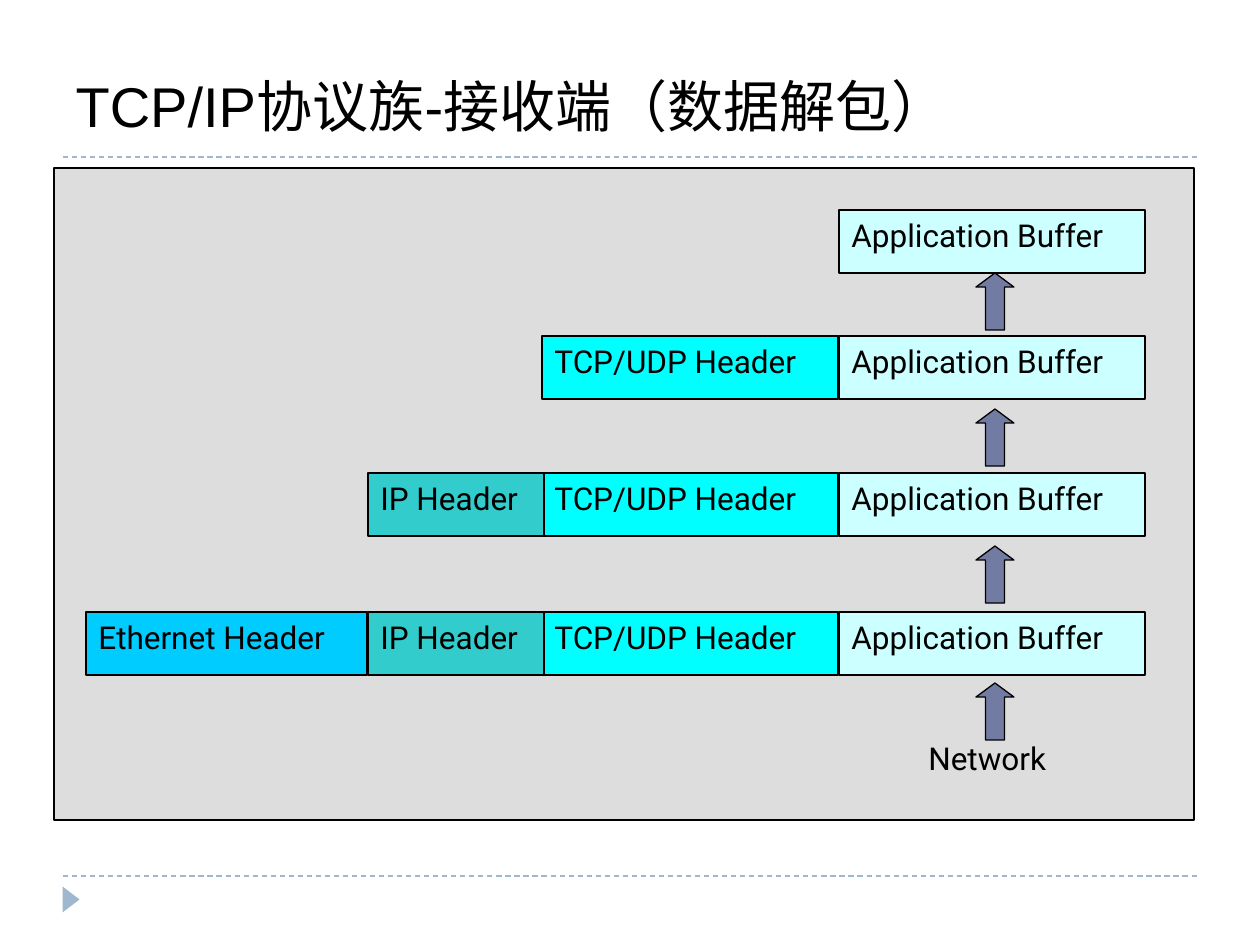
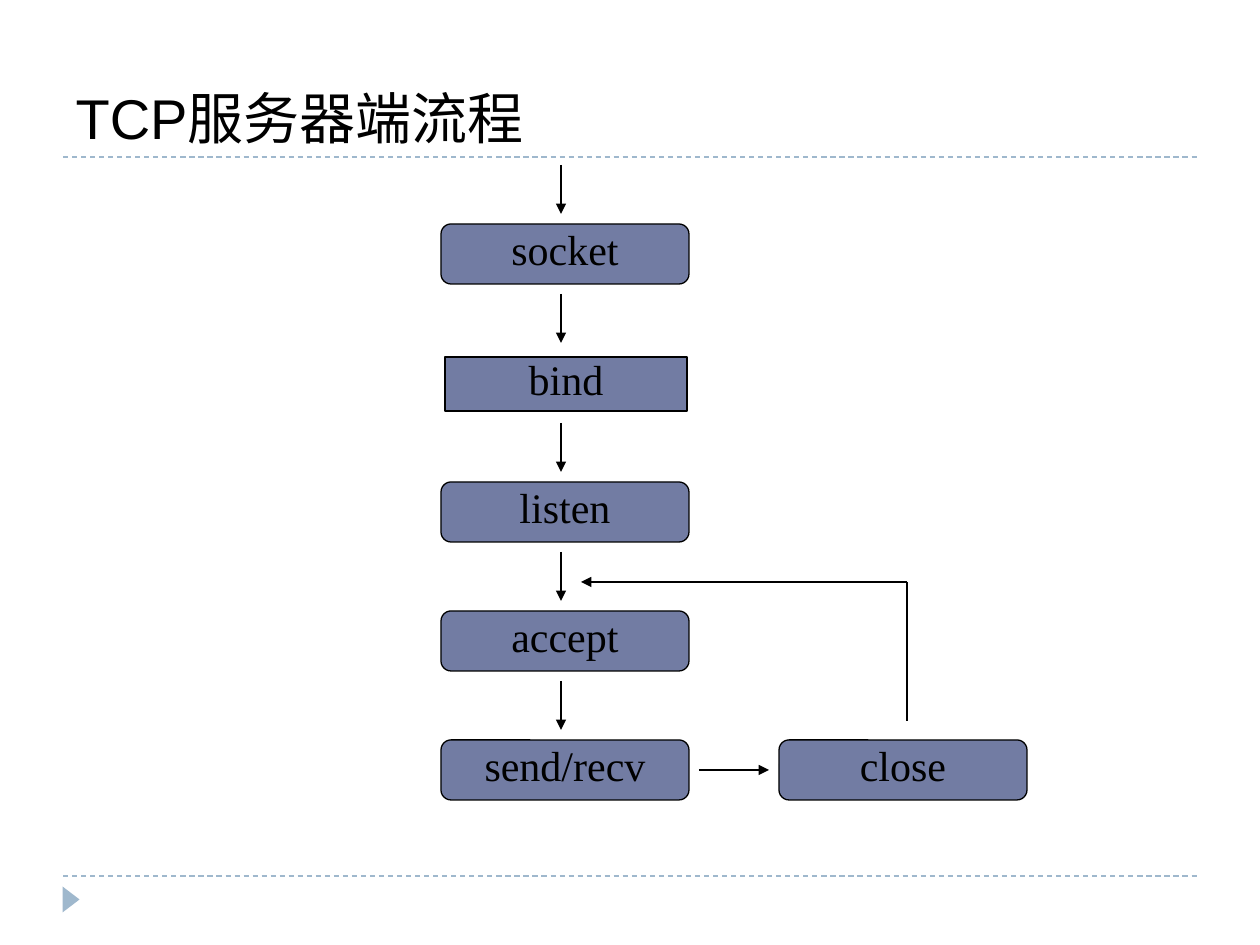
from lxml import etree
from pptx import Presentation
from pptx.dml.color import RGBColor
from pptx.enum.dml import MSO_LINE
from pptx.enum.shapes import MSO_CONNECTOR, MSO_SHAPE
from pptx.enum.text import MSO_ANCHOR, MSO_AUTO_SIZE, PP_ALIGN
from pptx.oxml.ns import qn
from pptx.util import Emu, Inches, Pt

RECTANGLE = MSO_SHAPE.RECTANGLE
ROUNDED = MSO_SHAPE.FLOWCHART_ALTERNATE_PROCESS
UP_ARROW = MSO_SHAPE.UP_ARROW
TRIANGLE = MSO_SHAPE.ISOSCELES_TRIANGLE
STRAIGHT = MSO_CONNECTOR.STRAIGHT
DASH = MSO_LINE.DASH
TOP, MIDDLE, BOTTOM = MSO_ANCHOR.TOP, MSO_ANCHOR.MIDDLE, MSO_ANCHOR.BOTTOM
LEFT, CENTER = PP_ALIGN.LEFT, PP_ALIGN.CENTER

PX_PER_INCH = 126
TITLE_ONLY = 5
BLACK, PANEL, SLATE, ACCENT = "000000", "DDDDDD", "727CA3", "9FB8CD"
TITLE_FONT, PACKET_FONT, FLOW_FONT = "Arial", "Roboto", "Times New Roman"

# Packet parts from right to left: label, left, width, fill
PACKET_PARTS = [
    ("Application Buffer", 839, 306, "CCFFFF"),
    ("TCP/UDP Header", 542, 296, "00FFFF"),
    ("IP Header", 368, 176, "33CCCC"),
    ("Ethernet Header", 86, 281, "00CCFF"),
]
PACKET_TOPS = [210, 336, 473, 612]
FLOW_STEPS = ["socket", "bind", "listen", "accept", "send/recv"]
FLOW_PITCH = 129


def px(length):
    return Emu(round(length * Inches(1) / PX_PER_INCH))


def color(hex_string):
    return RGBColor.from_string(hex_string)


def write(shape, text, font, size, align=LEFT, anchor=TOP, spacing=None):
    frame = shape.text_frame
    frame.word_wrap = True
    frame.auto_size = MSO_AUTO_SIZE.NONE
    frame.vertical_anchor = anchor
    frame.text = text
    paragraph = frame.paragraphs[0]
    paragraph.alignment = align
    paragraph.line_spacing = spacing
    paragraph.font.name = font
    paragraph.font.size = Pt(size)
    paragraph.font.color.rgb = color(BLACK)


def add_shape(slide, kind, left, top, width, height, fill, line=BLACK):
    shape = slide.shapes.add_shape(kind, px(left), px(top), px(width), px(height))
    shape.shadow.inherit = False
    shape.fill.solid()
    shape.fill.fore_color.rgb = color(fill)
    if line:
        shape.line.color.rgb = color(line)
        shape.line.width = Pt(0.75)
    else:
        shape.line.fill.background()
    return shape


def add_line(slide, start, end, line=BLACK, dash=None, arrow=False):
    connector = slide.shapes.add_connector(STRAIGHT, *map(px, start + end))
    connector.line.color.rgb = color(line)
    connector.line.width = Pt(0.75)
    if dash:
        connector.line.dash_style = dash
    if arrow:
        outline = connector.line._get_or_add_ln()
        etree.SubElement(outline, qn("a:tailEnd"), type="triangle")
    etree.SubElement(connector._element.spPr, qn("a:effectLst"))


def add_titled_slide(presentation, title_text, top, height, anchor):
    """Add a slide with its title, the two dashed rules and the corner marker."""
    slide = presentation.slides.add_slide(presentation.slide_layouts[TITLE_ONLY])
    for y in (876, 157):
        add_line(slide, (63, y), (1197, y), ACCENT, DASH)
    marker = add_shape(slide, TRIANGLE, 58, 891, 26, 17, ACCENT, line=None)
    marker.rotation = 90
    title = slide.shapes.title
    title.left, title.top = px(63), px(top)
    title.width, title.height = px(1134), px(height)
    write(title, title_text, TITLE_FONT, 32, anchor=anchor)
    return slide


def add_packet(slide, top, part_count):
    for label, left, width, fill in PACKET_PARTS[:part_count]:
        part = add_shape(slide, RECTANGLE, left, top, width, 63, fill)
        write(part, label, PACKET_FONT, 18)


def add_up_arrow(slide, top):
    arrow = add_shape(slide, UP_ARROW, 976, top, 38, 57, SLATE)
    arrow.adjustments[1] = 0.37


def add_flow_step(slide, label, left, top):
    if label == "bind":
        step = add_shape(slide, RECTANGLE, left + 4, top + 4, 242, 54, SLATE)
    else:
        step = add_shape(slide, ROUNDED, left, top, 248, 60, SLATE)
    write(step, label, FLOW_FONT, 24, CENTER, spacing=0.8)


def build_unpacking_slide(presentation):
    slide = add_titled_slide(
        presentation, "TCP/IP协议族-接收端（数据解包）", 53, 105, MIDDLE)
    add_shape(slide, RECTANGLE, 54, 168, 1140, 652, PANEL)
    network = slide.shapes.add_textbox(px(916), px(733), px(151), px(50))
    write(network, "Network", PACKET_FONT, 18)
    for index, top in enumerate(PACKET_TOPS):
        add_packet(slide, top, index + 1)
    for index in range(len(PACKET_TOPS)):
        add_up_arrow(slide, 273 + index * 410 // 3)


def build_server_flow_slide(presentation):
    slide = add_titled_slide(presentation, "TCP服务器端流程", 21, 136, BOTTOM)
    for index, label in enumerate(FLOW_STEPS):
        offset = index * FLOW_PITCH
        add_line(slide, (561, 165 + offset), (561, 214 + offset), arrow=True)
        add_flow_step(slide, label, 441, 224 + offset)
    add_flow_step(slide, "close", 779, 740)
    add_line(slide, (699, 770), (769, 770), arrow=True)
    add_line(slide, (907, 582), (907, 721))
    add_line(slide, (907, 582), (581, 582), arrow=True)


def main():
    presentation = Presentation()
    presentation.slide_width = px(1260)
    presentation.slide_height = px(945)
    build_unpacking_slide(presentation)
    build_server_flow_slide(presentation)
    presentation.save("out.pptx")


if __name__ == "__main__":
    main()
